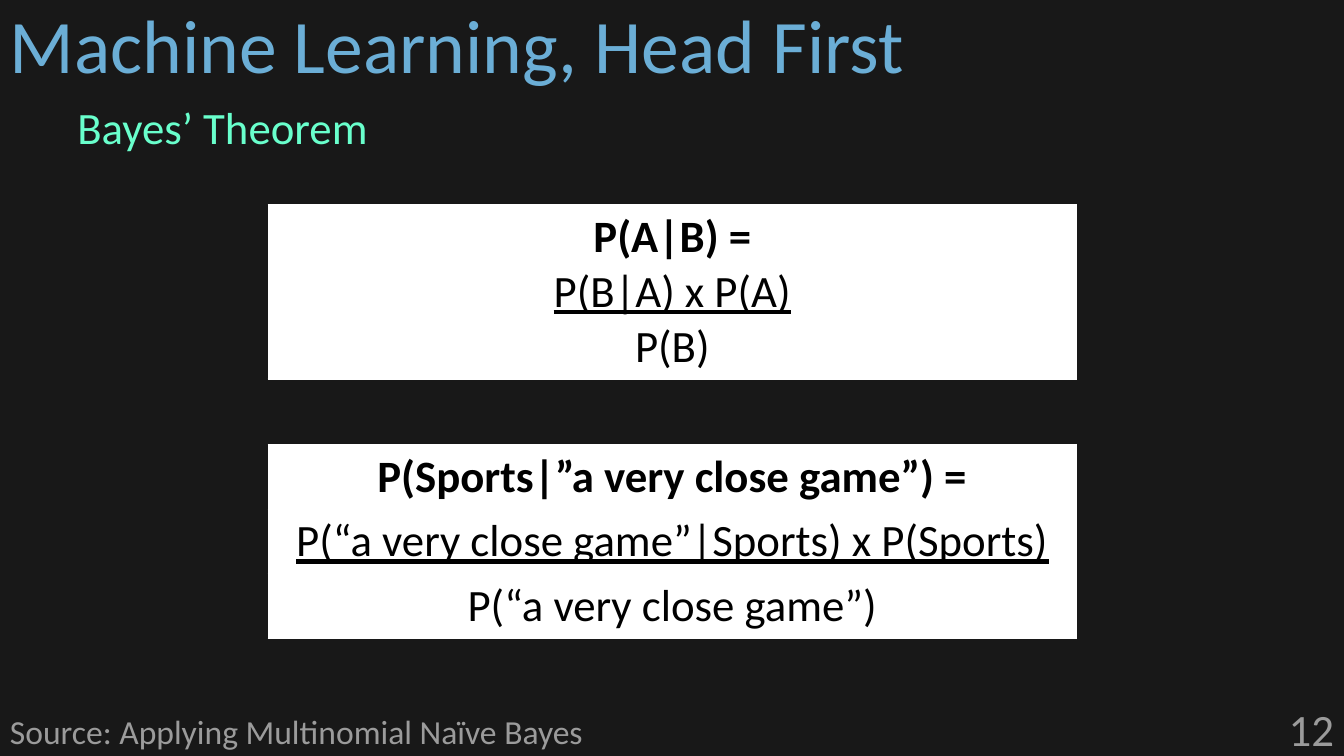
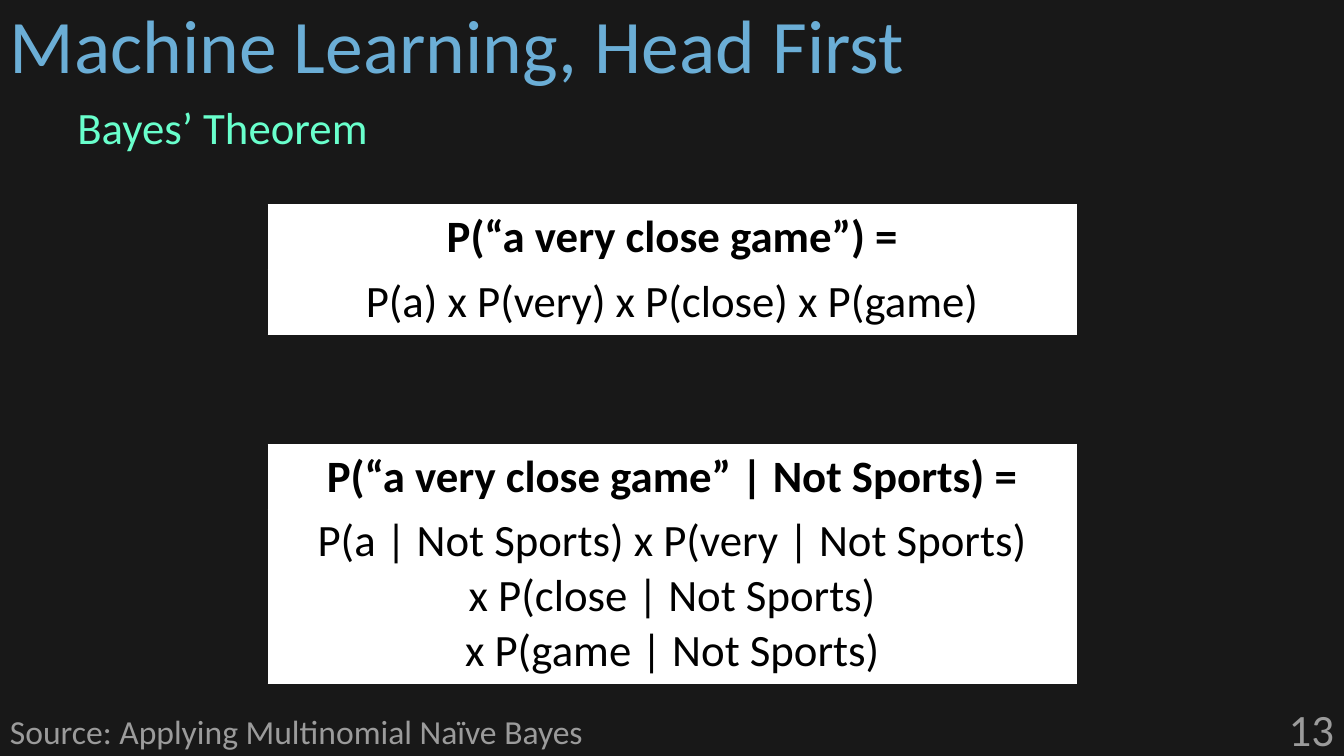
from pptx import Presentation, util as u
from pptx.dml import color
from pptx.enum import text

TOP, LOWER = 5.16, 11.2
HEAD, PLAIN = {"bold": True}, {"bold": False}
OVER = {"bold": False, "underline": True}


def rgb(value):
    """Turn a hex string into a colour."""
    return color.RGBColor.from_string(value)


class Lecture:
    """Hold the deck style and the page being built."""

    font = "Calibri"
    back, ink, paper = "181818", "000000", "FFFFFF"
    blue, mint, grey = "6BAED6", "69FFCC", "9B9B9B"
    table_left, table_width = 6.76, 20.37
    line_height, row_padding = 1.38, 0.25

    def __init__(self):
        """Start a wide deck."""
        self.deck = Presentation()
        self.deck.slide_width, self.deck.slide_height = u.Cm(33.87), u.Cm(19.05)
        self.page = None

    def add_span(self, para, words, size, tint, **formats):
        """Put one formatted span into a paragraph."""
        span = para.add_run()
        span.text = words
        values = {"name": self.font, "size": u.Pt(size), **formats}
        for key, value in values.items():
            setattr(span.font, key, value)
        span.font.color.rgb = rgb(tint)

    def label(self, words, place, size, tint, anchor="TOP", align="LEFT", spacing=1.0):
        """Add a text box with one paragraph."""
        box = self.page.shapes.add_textbox(*map(u.Cm, place))
        frame = box.text_frame
        frame.word_wrap = True
        frame.vertical_anchor = text.MSO_ANCHOR[anchor]
        para = frame.paragraphs[0]
        para.alignment = text.PP_ALIGN[align]
        para.line_spacing = spacing
        self.add_span(para, words, size, tint)

    def new_page(self, number):
        """Add a page with title, topic, source and number."""
        self.page = self.deck.slides.add_slide(self.deck.slide_layouts[6])
        fill = self.page.background.fill
        fill.solid()
        fill.fore_color.rgb = rgb(self.back)
        self.label("Machine Learning, Head First", (0, 0.08, 29.21, 1.8),
                   54, self.blue, spacing=0.9)
        self.label("Bayes’ Theorem", (1.7, 2.54, 17.12, 1.4),
                   32, self.mint, spacing=0.9)
        self.label("Source: Applying Multinomial Naïve Bayes",
                   (0, 17.81, 15.24, 1.24), 24, self.grey, "MIDDLE")
        self.label(str(number), (26.25, 17.75, 7.62, 1.24),
                   32, self.grey, "MIDDLE", "RIGHT")

    def formula(self, top, rows):
        """Add a one-column table; each row is a list of (words, formats)."""
        heights = [self.row_padding + self.line_height * len(lines) for lines in rows]
        place = (self.table_left, top, self.table_width, sum(heights))
        table = self.page.shapes.add_table(len(rows), 1, *map(u.Cm, place)).table
        for row, height, lines in zip(table.rows, heights, rows):
            row.height = u.Cm(height)
            cell = row.cells[0]
            cell.fill.solid()
            cell.fill.fore_color.rgb = rgb(self.paper)
            frame = cell.text_frame
            for index, (words, formats) in enumerate(lines):
                para = frame.add_paragraph() if index else frame.paragraphs[0]
                para.alignment = text.PP_ALIGN.CENTER
                self.add_span(para, words, 32, self.ink, **formats)


lecture = Lecture()

lecture.new_page(12)
lecture.formula(TOP, [
    [("P(A|B) =", HEAD), ("P(B|A) x P(A)", OVER), ("P(B)", PLAIN)],
])
lecture.formula(LOWER, [
    [("P(Sports|”a very close game”) =", HEAD)],
    [("P(“a very close game”|Sports) x P(Sports)", OVER)],
    [("P(“a very close game”)", PLAIN)],
])

lecture.new_page(13)
lecture.formula(TOP, [
    [("P(“a very close game”) =", HEAD)],
    [("P(a) x P(very) x P(close) x P(game)", PLAIN)],
])
lecture.formula(LOWER, [
    [("P(“a very close game” | Not Sports) =", HEAD)],
    [("P(a | Not Sports) x P(very | Not Sports)", PLAIN),
     ("x P(close | Not Sports)", PLAIN),
     ("x P(game | Not Sports)", PLAIN)],
])

lecture.deck.save("out.pptx")
